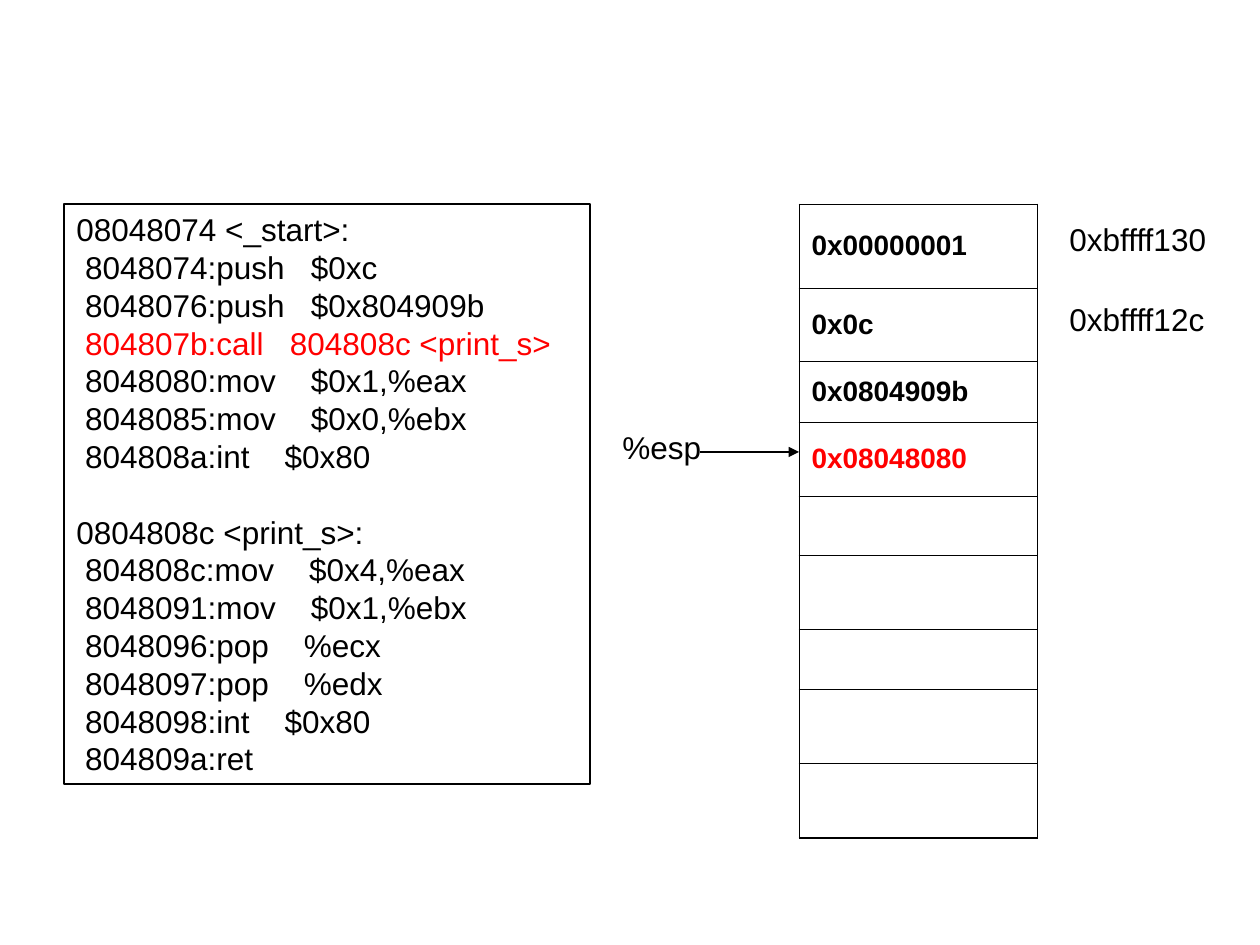
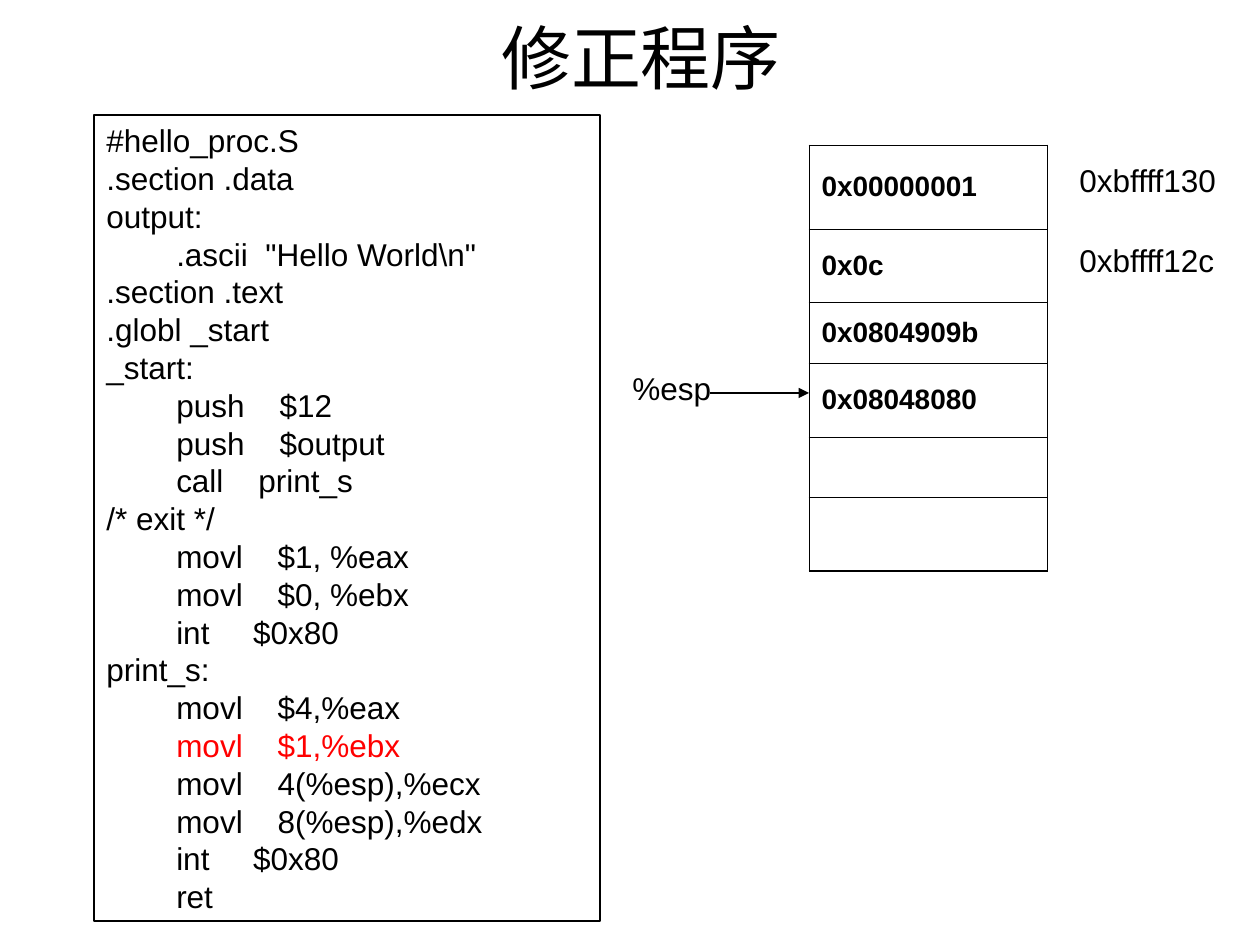
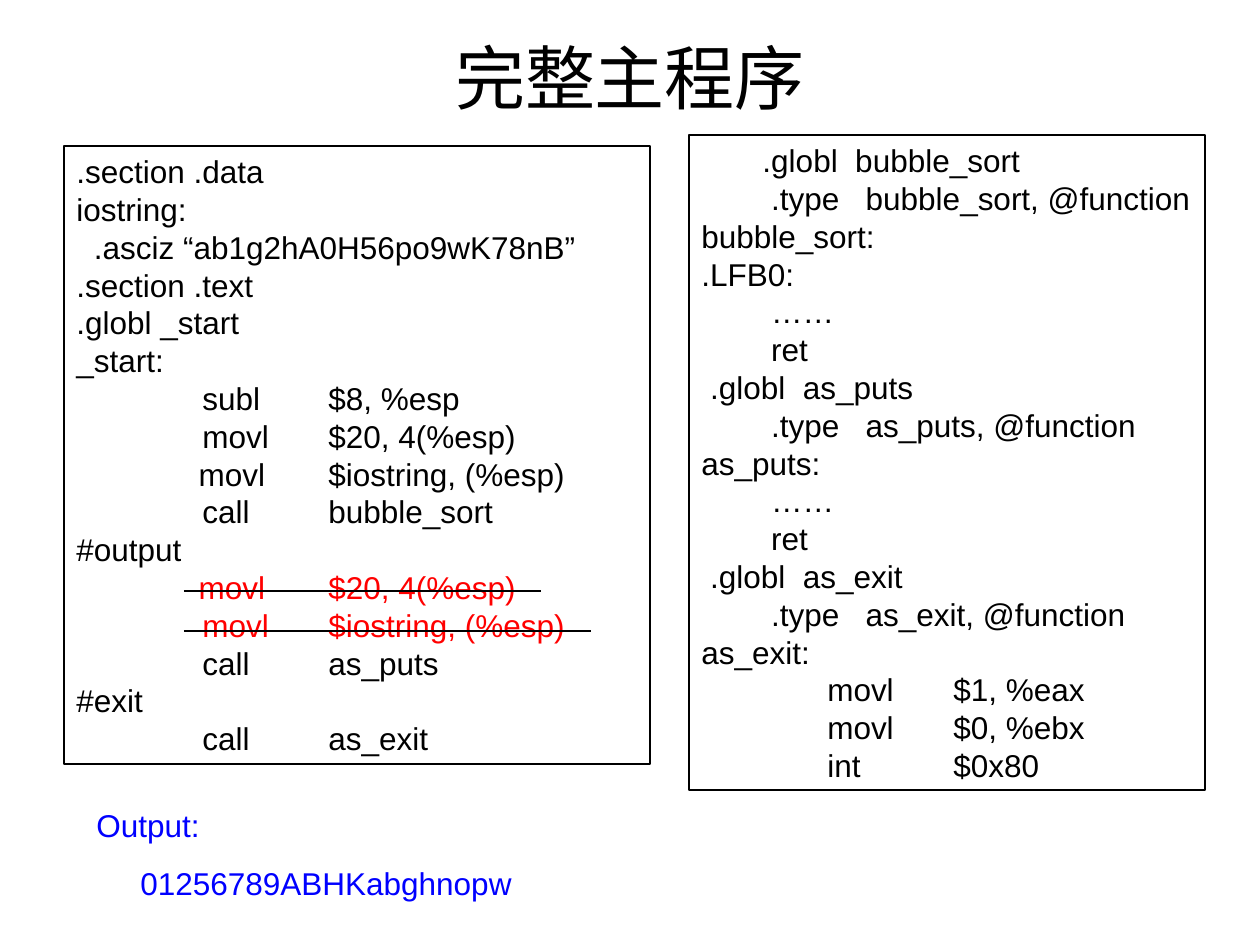
"""Build three slides on assembly code and the call stack."""
from dataclasses import dataclass

from lxml import etree
from pptx import Presentation
from pptx.dml.color import RGBColor
from pptx.enum.shapes import MSO_CONNECTOR, MSO_SHAPE
from pptx.enum.text import MSO_ANCHOR, MSO_AUTO_SIZE, PP_ALIGN
from pptx.oxml.ns import qn
from pptx.util import Emu, Pt

RECTANGLE = MSO_SHAPE.RECTANGLE
STRAIGHT = MSO_CONNECTOR.STRAIGHT
TOP, MIDDLE = MSO_ANCHOR.TOP, MSO_ANCHOR.MIDDLE
NO_FIT = MSO_AUTO_SIZE.NONE
LEFT, CENTER = PP_ALIGN.LEFT, PP_ALIGN.CENTER
TITLE_ONLY, BLANK = 5, 6
PX_PER_INCH = 126


@dataclass(frozen=True)
class Theme:
    """Colours, font, type sizes and line widths in points."""
    ink: RGBColor = RGBColor(0x00, 0x00, 0x00)
    paper: RGBColor = RGBColor(0xFF, 0xFF, 0xFF)
    mark: RGBColor = RGBColor(0xFF, 0x00, 0x00)
    result: RGBColor = RGBColor(0x00, 0x00, 0xFF)
    font: str = "Arial"
    title: int = 40
    body: int = 18
    cell: int = 16
    leading: float = 1.2
    gap: float = 11.2
    line: float = 0.75
    border: float = 0.45
    last_border: float = 1.08


THEME = Theme()
ROW_HEIGHTS = (84, 73, 61, 74, 60, 74, 60, 74, 74)
STACK_WIDTH = 238
STACK_VALUES = ("0x00000001", "0x0c", "0x0804909b", "0x08048080")
ADDRESSES = ("0xbffff130", "0xbffff12c")

DISASSEMBLY = """08048074 <_start>:
 8048074:push   $0xc
 8048076:push   $0x804909b
 804807b:call   804808c <print_s>
 8048080:mov    $0x1,%eax
 8048085:mov    $0x0,%ebx
 804808a:int    $0x80

0804808c <print_s>:
 804808c:mov    $0x4,%eax
 8048091:mov    $0x1,%ebx
 8048096:pop    %ecx
 8048097:pop    %edx
 8048098:int    $0x80
 804809a:ret"""

HELLO_PROC = """#hello_proc.S
.section .data
output:
        .ascii  "Hello World\\n"
.section .text
.globl _start
_start:
        push    $12
        push    $output
        call    print_s
/* exit */
        movl    $1, %eax
        movl    $0, %ebx
        int     $0x80
print_s:
        movl    $4,%eax
        movl    $1,%ebx
        movl    4(%esp),%ecx
        movl    8(%esp),%edx
        int     $0x80
        ret"""

MAIN_PROGRAM = """.section .data
iostring:
  .asciz “ab1g2hA0H56po9wK78nB”
.section .text
.globl _start
_start:
\tsubl\t$8, %esp
\tmovl\t$20, 4(%esp)
              movl\t$iostring, (%esp)
\tcall\tbubble_sort
#output
              movl\t$20, 4(%esp)
\tmovl\t$iostring, (%esp)
\tcall\tas_puts
#exit
\tcall\tas_exit"""

FUNCTIONS = """       .globl  bubble_sort
        .type   bubble_sort, @function
bubble_sort:
.LFB0:
        ……
        ret
 .globl  as_puts
        .type   as_puts, @function
as_puts:
        ……
        ret
 .globl  as_exit
        .type   as_exit, @function
as_exit:
\tmovl\t$1, %eax
\tmovl\t$0, %ebx
\tint\t$0x80"""


def px(length):
    """Turn a length in px into EMU."""
    return Emu(round(length * 914400 / PX_PER_INCH))


def add_span(para, text, size, color=THEME.ink, bold=False):
    """Add one formatted run to a paragraph."""
    span = para.add_run()
    span.text = text
    span.font.name = THEME.font
    span.font.size = Pt(size)
    span.font.bold = bold
    span.font.color.rgb = color


def add_tabs(para):
    """Give a paragraph left tab stops one inch apart."""
    tabs = etree.SubElement(para._p.get_or_add_pPr(), qn("a:tabLst"))
    for inch in range(1, 8):
        etree.SubElement(tabs, qn("a:tab"), pos=str(px(inch * PX_PER_INCH)), algn="l")


def prepare_frame(frame, anchor=TOP):
    """Set wrapping, fit and anchor of a text frame."""
    frame.word_wrap = True
    frame.auto_size = NO_FIT
    frame.vertical_anchor = anchor


def add_lines(frame, lines, color=THEME.ink, marked=(), gap=0):
    """Write lines as paragraphs, turning empty lines into space before the next."""
    prepare_frame(frame)
    leading = THEME.body * THEME.leading
    para, space = None, 0
    for number, line in enumerate(lines):
        if not line:
            space += leading
            continue
        para = frame.add_paragraph() if para else frame.paragraphs[0]
        if "\t" in line:
            add_tabs(para)
        para.alignment = LEFT
        para.line_spacing = Pt(leading)
        para.space_before = Pt(space)
        add_span(para, line, THEME.body, THEME.mark if number in marked else color)
        space = gap


def add_label(page, box, lines, color=THEME.ink, gap=0):
    """Add a plain text box."""
    label = page.shapes.add_textbox(*map(px, box))
    add_lines(label.text_frame, lines, color, gap=gap)
    return label


def add_code(page, box, code, marked=()):
    """Add a framed code listing with marked lines."""
    panel = page.shapes.add_shape(RECTANGLE, *map(px, box))
    panel.shadow.inherit = False
    panel.fill.background()
    panel.line.color.rgb = THEME.ink
    panel.line.width = Pt(THEME.line)
    add_lines(panel.text_frame, code.split("\n"), marked=marked)


def add_line(page, left, top, length, arrow=False):
    """Add a horizontal line, with an arrowhead if wanted."""
    line = page.shapes.add_connector(STRAIGHT, px(left), px(top), px(left + length), px(top))
    line.line.color.rgb = THEME.ink
    line.line.width = Pt(THEME.line)
    properties = line._element.spPr
    if arrow:
        etree.SubElement(properties.find(qn("a:ln")), qn("a:tailEnd"), type="triangle")
    etree.SubElement(properties, qn("a:effectLst"))


def set_borders(cell, bottom):
    """Draw the four borders of a cell."""
    widths = {"lnL": THEME.border, "lnR": THEME.border, "lnT": THEME.border, "lnB": bottom}
    properties = cell._tc.get_or_add_tcPr()
    for place, (side, width) in enumerate(widths.items()):
        border = etree.Element(qn(f"a:{side}"), w=str(Pt(width)))
        fill = etree.SubElement(border, qn("a:solidFill"))
        etree.SubElement(fill, qn("a:srgbClr"), val=str(THEME.ink))
        properties.insert(place, border)


def add_stack(page, left, top, count, marked=None):
    """Add the stack table with its addresses and the stack pointer."""
    heights = ROW_HEIGHTS[:count]
    box = (left, top, STACK_WIDTH, sum(heights))
    table = page.shapes.add_table(count, 1, *map(px, box)).table
    table.first_row = table.horz_banding = False
    for index, height in enumerate(heights):
        table.rows[index].height = px(height)
        cell = table.cell(index, 0)
        cell.fill.background()
        cell.vertical_anchor = MIDDLE
        set_borders(cell, THEME.last_border if index == count - 1 else THEME.border)
        if index < len(STACK_VALUES):
            color = THEME.mark if index == marked else THEME.ink
            add_span(cell.text_frame.paragraphs[0], STACK_VALUES[index], THEME.cell, color, True)
    for index, address in enumerate(ADDRESSES):
        add_label(page, (left + 258, top + 10 + 80 * index, 169, 50), [address])
    add_label(page, (left - 189, top + 218, 110, 50), ["%esp"])
    add_line(page, left - 99, top + 248, 99, arrow=True)


def add_page(deck, title=None, box=None):
    """Add a slide, with a title in the given box if there is one."""
    page = deck.slides.add_slide(deck.slide_layouts[TITLE_ONLY if title else BLANK])
    page.background.fill.solid()
    page.background.fill.fore_color.rgb = THEME.paper
    if title:
        holder = page.shapes.title
        holder.left, holder.top, holder.width, holder.height = map(px, box)
        prepare_frame(holder.text_frame, MIDDLE)
        para = holder.text_frame.paragraphs[0]
        para.alignment = CENTER
        add_span(para, title, THEME.title)
    return page


def add_output(page, box):
    """Add the program output, with the result line indented."""
    label = add_label(page, box, ["Output:", "01256789ABHKabghnopw"], THEME.result, THEME.gap)
    result = label.text_frame.paragraphs[1]
    result._p.get_or_add_pPr().set("marL", str(px(44)))


def build_call_page(deck):
    """Show the stack right after the call."""
    page = add_page(deck)
    add_code(page, (64, 204, 526, 580), DISASSEMBLY, marked={3})
    add_stack(page, 799, 204, len(ROW_HEIGHTS), marked=3)


def build_fix_page(deck):
    """Show the corrected program beside the stack."""
    page = add_page(deck, "修正程序", (74, 16, 1134, 80))
    add_code(page, (94, 115, 506, 806), HELLO_PROC, marked={16})
    add_stack(page, 809, 145, 6)


def build_main_page(deck):
    """Show the whole main program and its output."""
    page = add_page(deck, "完整主程序", (63, 38, 1134, 77))
    left, top = 64, 146
    add_code(page, (left, top, 586, 618), MAIN_PROGRAM, marked={11, 12})
    add_code(page, (689, 135, 516, 655), FUNCTIONS)
    add_output(page, (84, 800, 456, 108))
    for offset, length in ((445, 357), (485, 407)):
        add_line(page, left + 120, top + offset, length)


def main():
    """Build and save the deck."""
    deck = Presentation()
    deck.slide_width, deck.slide_height = px(1260), px(945)
    build_call_page(deck)
    build_fix_page(deck)
    build_main_page(deck)
    deck.save("out.pptx")


if __name__ == "__main__":
    main()
